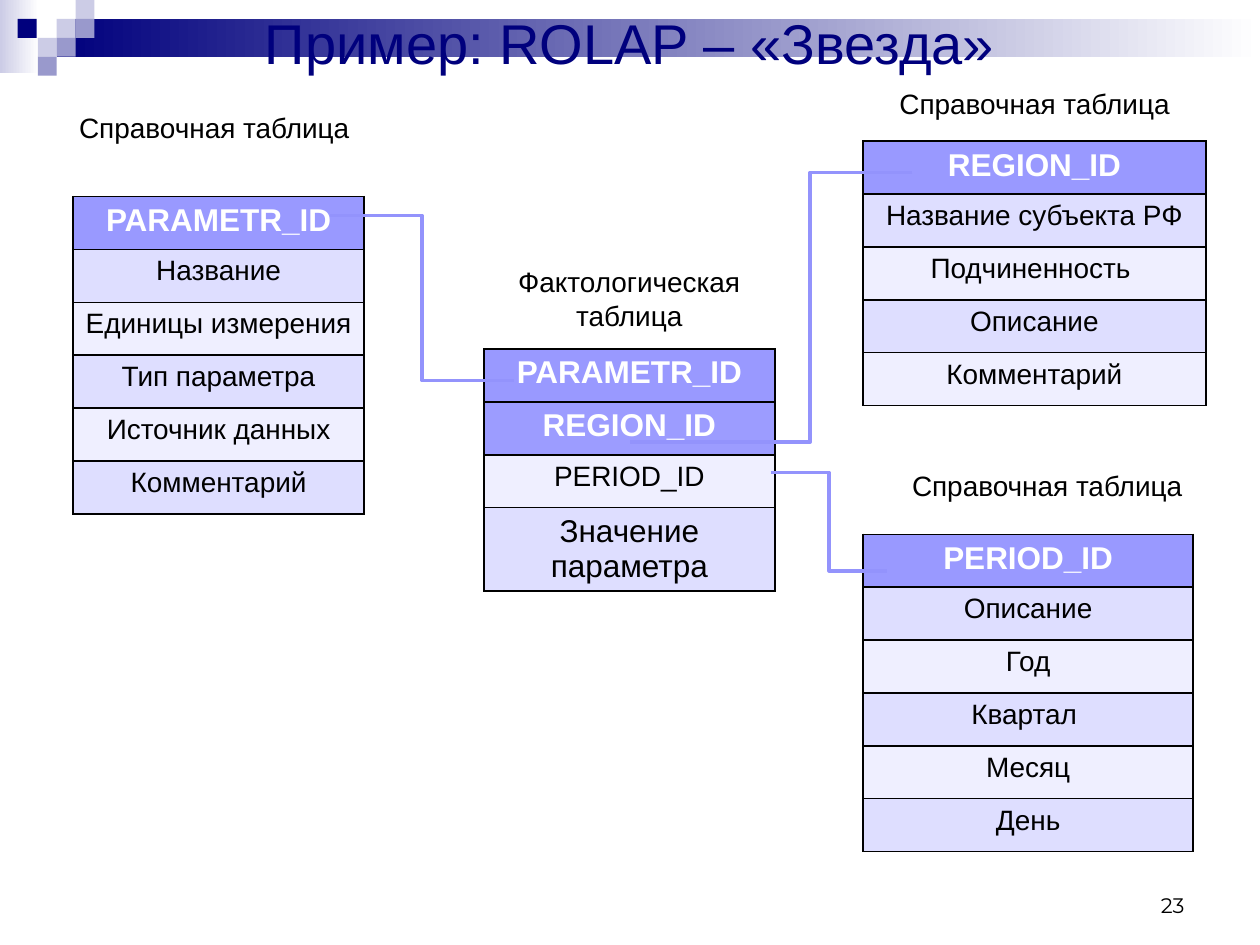
from lxml import etree
from pptx import Presentation
from pptx.dml.color import RGBColor
from pptx.enum import shapes, text
from pptx.oxml import ns
from pptx.util import Inches, Pt

THEME = dict(
    font="Arial", numfont="Montserrat", navy="00007D", mid="9999CC", pale="CCCCE6",
    white="FFFFFF", black="000000", key="9999FF", key2="9C9CFF",
    odd="DEDEFF", even="EFEFFF", link="9393FC",
    title=32, head=18, body=16, num=12)

# Header ornament: gradient bars, then mosaic tiles (left, top, colour)
BARS = [(0, 0, 0.31, 0.58, "pale"), (0.45, 0.15, 9.55, 0.3, "navy")]
TILE = 0.15
TILES = [(0.45, 0.15, "pale"), (0.6, 0, "pale"), (0.6, 0.15, "mid"),
         (0.3, 0.3, "pale"), (0.14, 0.15, "navy"), (0.45, 0.3, "mid"),
         (0.3, 0.45, "mid")]

# Tables: left, top, width, height, key fills, rows, size of the last row
ROW = 0.42
TABLES = [
    (0.58, 1.56, 2.31, 2.73, ["key"],
     ["PARAMETR_ID", "Название", "Единицы измерения", "Тип параметра",
      "Источник данных", "Комментарий"], "body"),
    (3.84, 2.77, 2.31, 1.96, ["key", "key2"],
     ["PARAMETR_ID", "REGION_ID", "PERIOD_ID", "Значение параметра"], "head"),
    (6.85, 1.12, 2.72, 2.09, ["key"],
     ["REGION_ID", "Название субъекта РФ", "Подчиненность ", "Описание",
      "Комментарий"], "body"),
    (6.85, 4.24, 2.62, 2.51, ["key"],
     ["PERIOD_ID", "Описание", "Год", "Квартал ", "Месяц", "День"], "body"),
]

LEFT, MID, RIGHT = text.PP_ALIGN.LEFT, text.PP_ALIGN.CENTER, text.PP_ALIGN.RIGHT
TOP, CORE, BASE = (text.MSO_ANCHOR.TOP, text.MSO_ANCHOR.MIDDLE,
                   text.MSO_ANCHOR.BOTTOM)
REF = "Справочная таблица"
# Texts: words, box, size, colour, font, alignment, anchor
TEXTS = [
    ("Пример: ROLAP – «Звезда»", (0.21, 0, 9.58, 0.67), "title", "navy", "font", MID, CORE),
    ("23", (7.17, 6.83, 2.33, 0.5), "num", "black", "numfont", RIGHT, BASE),
    (REF, (0.53, 0.83, 2.43, 0.37), "body", "black", "font", LEFT, TOP),
    (REF, (7.04, 0.64, 2.43, 0.37), "body", "black", "font", LEFT, TOP),
    (REF, (7.14, 3.67, 2.43, 0.37), "body", "black", "font", LEFT, TOP),
    ("Фактологическая таблица", (3.78, 2.05, 2.43, 0.64), "body", "black", "font", MID, TOP),
]

# Links: from x, y, to x, y, place of the bend in 1/100000
LINKS = [(2.62, 1.71, 4.08, 3.02, 50000), (6.12, 3.75, 7.04, 4.53, 50000),
         (7.24, 1.37, 5, 3.51, 36200)]


def color(name):
    return RGBColor.from_string(THEME[name])


def style(para, size, tint, font="font", bold=False):
    for run in para.runs:
        run.font.size, run.font.bold = Pt(THEME[size]), bold
        run.font.name = THEME[font]
        run.font.color.rgb = color(tint)


def add_rect(slide, box, tint, fade=False):
    rect = slide.shapes.add_shape(shapes.MSO_SHAPE.RECTANGLE, *map(Inches, box))
    rect.shadow.inherit = False
    rect.line.fill.background()
    if fade:
        rect.fill.gradient()
        rect.fill.gradient_angle = 0
        for stop, name, pos in zip(rect.fill.gradient_stops, (tint, "white"), (0, 1)):
            stop.color.rgb, stop.position = color(name), pos
    else:
        rect.fill.solid()
        rect.fill.fore_color.rgb = color(tint)


def add_text(slide, words, box, size, tint, font, align, anchor):
    frame = slide.shapes.add_textbox(*map(Inches, box)).text_frame
    frame.word_wrap, frame.vertical_anchor = True, anchor
    frame.text = words
    frame.paragraphs[0].alignment = align
    style(frame.paragraphs[0], size, tint, font)


def set_border(cell):
    props = cell._tc.get_or_add_tcPr()
    for spot, side in enumerate(("a:lnL", "a:lnR", "a:lnT", "a:lnB")):
        line = etree.Element(ns.qn(side), w=str(Pt(1)))
        fill = etree.SubElement(line, ns.qn("a:solidFill"))
        etree.SubElement(fill, ns.qn("a:srgbClr"), val=THEME["black"])
        props.insert(spot, line)


def add_grid(slide, left, top, width, height, keys, rows, last):
    frame = slide.shapes.add_table(
        len(rows), 1, *map(Inches, (left, top, width, height)))
    for i, words in enumerate(rows):
        frame.table.rows[i].height = Inches(ROW)
        cell = frame.table.cell(i, 0)
        head = i < len(keys)
        cell.fill.solid()
        cell.fill.fore_color.rgb = color(
            keys[i] if head else "odd" if i % 2 else "even")
        set_border(cell)
        cell.text = words
        para = cell.text_frame.paragraphs[0]
        para.alignment = MID
        size = "head" if head else last if i == len(rows) - 1 else "body"
        style(para, size, "white" if head else "black", bold=head)
    frame.height = Inches(height)


def add_link(slide, *ends, bend):
    link = slide.shapes.add_connector(
        shapes.MSO_CONNECTOR.ELBOW, *map(Inches, ends))
    link.line.width = Pt(2)
    link.line.color.rgb = color("link")
    props = link._element.spPr
    etree.SubElement(props, ns.qn("a:effectLst"))
    guides = props.find(ns.qn("a:prstGeom")).find(ns.qn("a:avLst"))
    etree.SubElement(guides, ns.qn("a:gd"), name="adj1", fmla=f"val {bend}")


def main():
    deck = Presentation()
    deck.slide_width, deck.slide_height = Inches(10), Inches(7.5)
    slide = deck.slides.add_slide(deck.slide_layouts[6])
    for *box, tint in BARS:
        add_rect(slide, box, tint, fade=True)
    for x, y, tint in TILES:
        add_rect(slide, (x, y, TILE, TILE), tint)
    for grid in TABLES:
        add_grid(slide, *grid)
    for item in TEXTS:
        add_text(slide, *item)
    for *ends, bend in LINKS:
        add_link(slide, *ends, bend=bend)
    deck.save("out.pptx")


if __name__ == "__main__":
    main()
